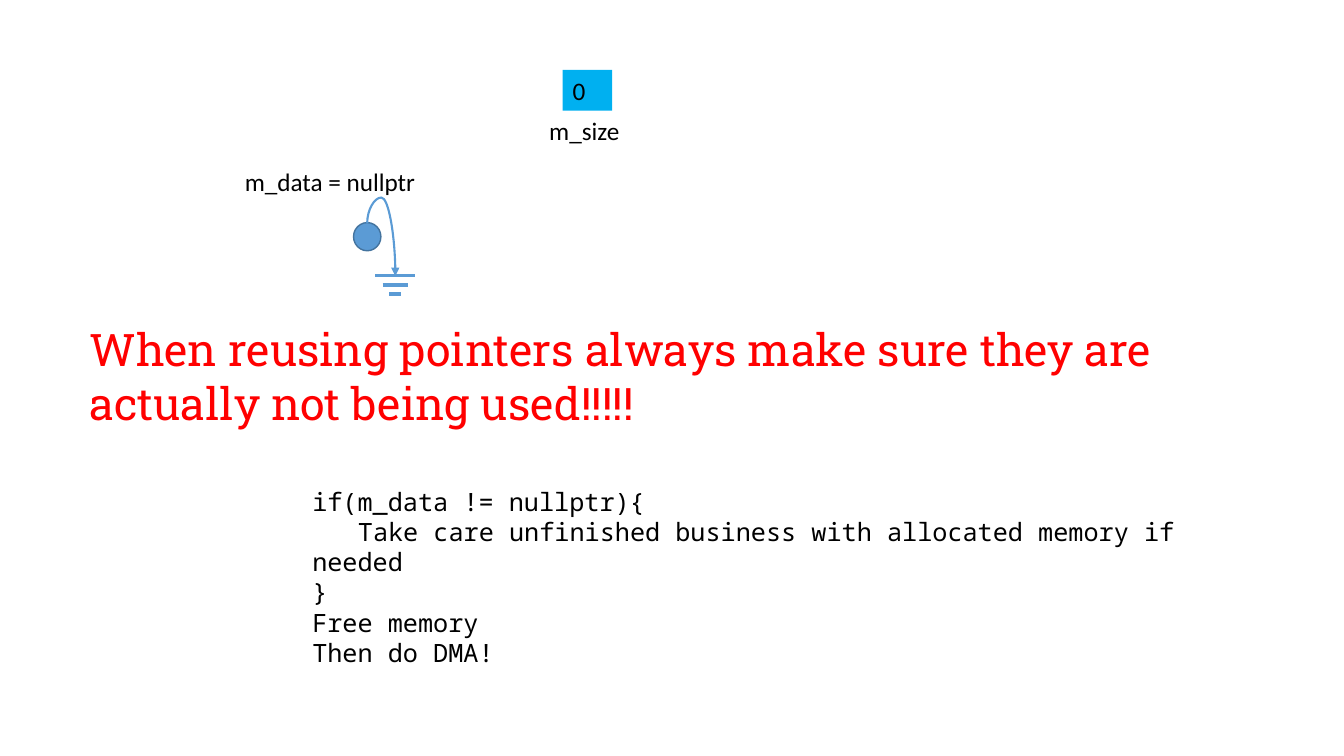
"""Build a slide on resetting a pointer safely before it is reused."""
from dataclasses import dataclass

from lxml import etree
from pptx import Presentation
from pptx.dml.color import RGBColor
from pptx.enum.shapes import MSO_CONNECTOR, MSO_SHAPE
from pptx.enum.text import PP_ALIGN
from pptx.oxml.ns import qn
from pptx.util import Cm, Pt

STRAIGHT, CURVE = MSO_CONNECTOR.STRAIGHT, MSO_CONNECTOR.CURVE
OVAL, RECTANGLE = MSO_SHAPE.OVAL, MSO_SHAPE.RECTANGLE
LEFT = PP_ALIGN.LEFT


@dataclass(frozen=True)
class Theme:
    pointer: RGBColor = RGBColor(0x5B, 0x9B, 0xD5)
    outline: RGBColor = RGBColor(0x43, 0x73, 0x9E)
    member: RGBColor = RGBColor(0x00, 0xB0, 0xF0)
    text: RGBColor = RGBColor(0, 0, 0)
    warning: RGBColor = RGBColor(0xFF, 0, 0)
    label_font: str = "Calibri"
    warning_font: str = "Roboto Slab"
    code_font: str = "Noto Sans Mono"
    body_size: Pt = Pt(18)
    warning_size: Pt = Pt(32)


theme = Theme()


def write(box, lines, font=theme.label_font, size=theme.body_size, color=theme.text, indents=()):
    """Fill a box with one paragraph per line, indenting the numbered lines."""
    frame = box.text_frame
    frame.word_wrap = True
    for number, line in enumerate(lines):
        para = frame.add_paragraph() if number else frame.paragraphs[0]
        para.alignment = LEFT
        if number in indents:
            para._p.get_or_add_pPr().set("indent", str(Cm(1.15)))
        span = para.add_run()
        span.text = line
        span.font.name, span.font.size = font, size
        span.font.color.rgb = color


def connect(page, kind, start, end, width):
    """Draw a pointer-coloured connector between two points in centimetres."""
    connector = page.shapes.add_connector(kind, *map(Cm, start + end))
    connector.line.color.rgb = theme.pointer
    connector.line.width = Pt(width)
    etree.SubElement(connector._element.spPr, qn("a:effectLst"))
    return connector


deck = Presentation()
deck.slide_width, deck.slide_height = Cm(33.87), Cm(19.05)
page = deck.slides.add_slide(deck.slide_layouts[6])

pointer = page.shapes.add_shape(OVAL, Cm(8.91), Cm(5.61), Cm(0.69), Cm(0.71))
pointer.shadow.inherit = False
pointer.fill.solid()
pointer.fill.fore_color.rgb = theme.pointer
pointer.line.color.rgb = theme.outline
pointer.line.width = Pt(1)

arrow = connect(page, CURVE, (10.28, 5.93), (8.94, 6.64), 1.5)
arrow._element.spPr.find(qn("a:xfrm")).set("rot", str(270 * 60000))
guides = arrow._element.spPr.find(qn("a:prstGeom")).find(qn("a:avLst"))
etree.SubElement(guides, qn("a:gd"), name="adj1", fmla="val -47600")
etree.SubElement(arrow.line._get_or_add_ln(), qn("a:tailEnd"), type="triangle")

ground_center = 9.96
for level, half_width in enumerate((0.5, 0.32, 0.15)):
    height = 6.95 + 0.23 * level
    connect(page, STRAIGHT, (ground_center - half_width, height), (ground_center + half_width, height), 2.25)

size_box = page.shapes.add_shape(RECTANGLE, Cm(14.18), Cm(1.76), Cm(1.25), Cm(1.03))
size_box.shadow.inherit = False
size_box.fill.solid()
size_box.fill.fore_color.rgb = theme.member
size_box.line.fill.background()
write(size_box, ["0"])

texts = (
    ((5.92, 4.06, 6.27, 1.03), ["m_data = nullptr"], {}),
    ((13.59, 2.79, 2.95, 1.03), ["m_size"], {}),
    (
        (2.01, 7.98, 28.63, 3),
        ["When reusing pointers always make sure they are", "actually not being used!!!!!"],
        {"font": theme.warning_font, "size": theme.warning_size, "color": theme.warning},
    ),
    (
        (7.62, 12.12, 23.34, 4.11),
        [
            "if(m_data != nullptr){",
            "Take care unfinished business with allocated memory if needed",
            "}",
            "Free memory",
            "Then do DMA!",
        ],
        {"font": theme.code_font, "indents": (1,)},
    ),
)
for place, lines, style in texts:
    write(page.shapes.add_textbox(*map(Cm, place)), lines, **style)

deck.save("out.pptx")
